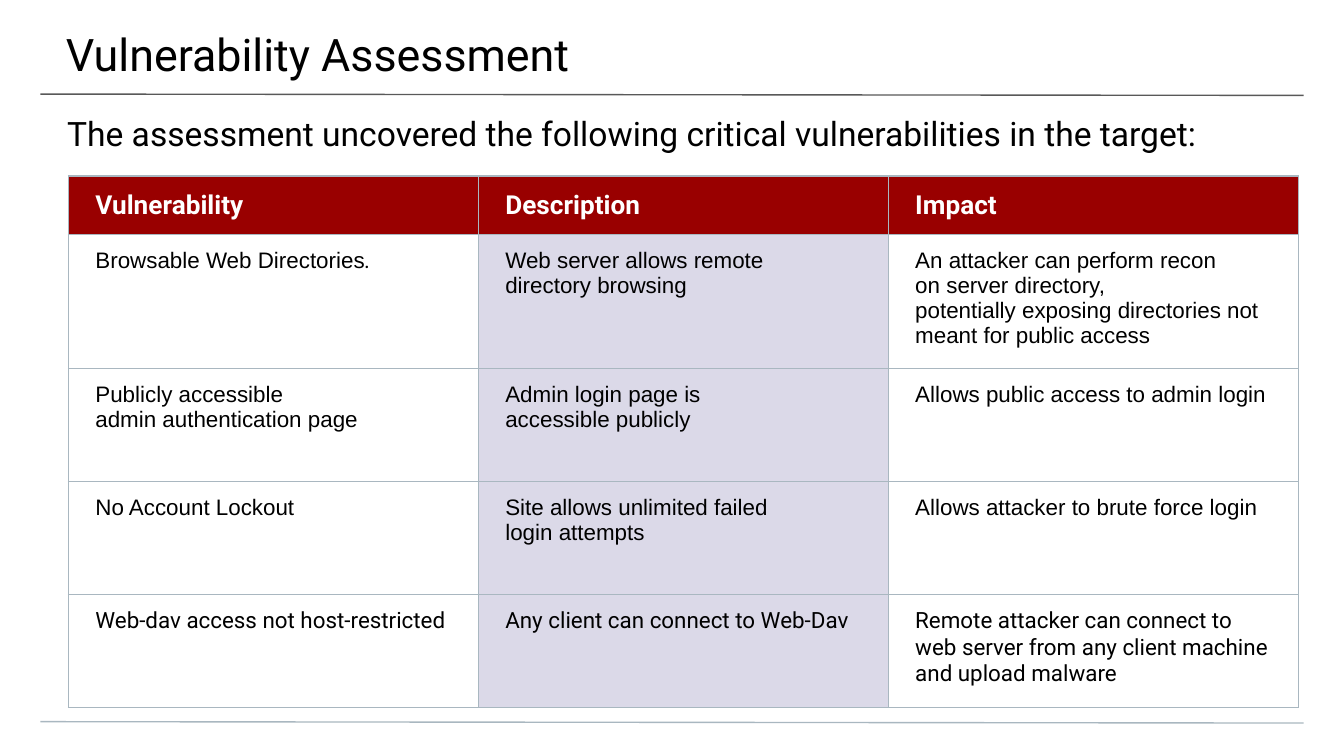
import pptx
import pptx.dml.color
import pptx.enum.shapes
import pptx.enum.text
import pptx.oxml
import pptx.oxml.ns
import pptx.util
from pptx.util import Inches

BLACK = pptx.dml.color.RGBColor(0x00, 0x00, 0x00)
WHITE = pptx.dml.color.RGBColor(0xFF, 0xFF, 0xFF)
GRAY = pptx.dml.color.RGBColor(0x59, 0x59, 0x59)
STEEL = pptx.dml.color.RGBColor(0xA9, 0xB7, 0xC0)
CRIMSON = pptx.dml.color.RGBColor(0x99, 0x00, 0x00)
LAVENDER = pptx.dml.color.RGBColor(0xDB, 0xD9, 0xE8)

HARD_SPACE = chr(160)
HEADINGS = ["Vulnerability", "Description", "Impact"]
FINDINGS = [
    ["Browsable Web Directories",
     "Web server allows remote directory~browsing",
     "An attacker can perform recon on~server directory, potentially~exposing "
     "directories not meant for~public access"],
    ["Publicly accessible admin~authentication page",
     "Admin login page is accessible~publicly",
     "Allows public access to admin~login"],
    ["No Account Lockout",
     "Site allows unlimited failed login~attempts",
     "Allows attacker to brute force login~"],
    ["Web-dav access not host-restricted",
     "Any client can connect to Web-Dav",
     "Remote attacker can connect to web server from any client machine and upload malware"],
]


class ReportSlide:
    """Holds the report style and draws its elements on one slide."""

    heading_font = "Roboto"
    body_font = "Arial"
    rule_width = pptx.util.Pt(0.75)

    def __init__(self, slide):
        self.slide = slide

    def format_run(self, run, size, font, color=BLACK, bold=False, italic=False):
        run.font.size = pptx.util.Pt(size)
        run.font.name = font
        run.font.color.rgb = color
        run.font.bold = bold
        run.font.italic = italic

    def rule(self, top, color):
        line = self.slide.shapes.add_connector(
            pptx.enum.shapes.MSO_CONNECTOR.STRAIGHT,
            Inches(0.3), Inches(top), Inches(9.7), Inches(top + 0.01))
        line.line.color.rgb = color
        line.line.width = self.rule_width
        line._element.spPr.append(pptx.oxml.parse_xml(
            f'<a:effectLst {pptx.oxml.ns.nsdecls("a")}/>'))

    def text(self, wording, box, insets, size):
        frame = self.slide.shapes.add_textbox(*map(Inches, box)).text_frame
        frame.word_wrap = True
        (frame.margin_left, frame.margin_top,
         frame.margin_right, frame.margin_bottom) = map(Inches, insets)
        frame.text = wording
        self.format_run(frame.paragraphs[0].runs[0], size, self.heading_font)

    def border(self, cell):
        properties = cell._tc.get_or_add_tcPr()
        for side in ("lnL", "lnR", "lnT", "lnB"):
            properties.append(pptx.oxml.parse_xml(
                f'<a:{side} {pptx.oxml.ns.nsdecls("a")} w="{self.rule_width}">'
                f'<a:solidFill><a:srgbClr val="{STEEL}"/></a:solidFill></a:{side}>'))

    def cell(self, cell, wording, size, font, color, bold, fill):
        cell.margin_left = cell.margin_right = Inches(0.2)
        cell.margin_top = cell.margin_bottom = Inches(0.1)
        cell.text_frame.text = wording.replace("~", HARD_SPACE)
        paragraph = cell.text_frame.paragraphs[0]
        self.format_run(paragraph.runs[0], size, font, color, bold)
        paragraph._p.append(pptx.oxml.parse_xml(
            f'<a:endParaRPr {pptx.oxml.ns.nsdecls("a")} sz="{size * 100}">'
            f'<a:latin typeface="{font}"/></a:endParaRPr>'))
        self.border(cell)
        if fill is None:
            cell.fill.background()
        else:
            cell.fill.solid()
            cell.fill.fore_color.rgb = fill

    def table(self, headings, findings, left, top, column_width, heading_height, row_height):
        frame = self.slide.shapes.add_table(
            len(findings) + 1, len(headings), Inches(left), Inches(top),
            Inches(column_width * len(headings)), Inches(3.28))
        table = frame.table
        table.first_row = table.horz_banding = False
        for column in table.columns:
            column.width = Inches(column_width)
        for index, row in enumerate(table.rows):
            row.height = Inches(row_height if index else heading_height)
        frame.width = frame.height = Inches(3.28)
        for index, heading in enumerate(headings):
            self.cell(table.cell(0, index), heading, 14, self.heading_font, WHITE, True, CRIMSON)
            table.cell(0, index).vertical_anchor = pptx.enum.text.MSO_ANCHOR.MIDDLE
        for row, finding in enumerate(findings, 1):
            font = self.heading_font if row == len(findings) else self.body_font
            for column, wording in enumerate(finding):
                fill = LAVENDER if column == 1 else None
                self.cell(table.cell(row, column), wording, 12, font, BLACK, False, fill)
        return table


def main():
    deck = pptx.Presentation()
    deck.slide_width = Inches(10)
    deck.slide_height = deck.slide_width * 9 // 16
    report = ReportSlide(deck.slides.add_slide(deck.slide_layouts[6]))
    report.rule(0.7, GRAY)
    report.rule(5.37, STEEL)
    report.text("Vulnerability Assessment",
                (-0.01, 0, 10.03, 0.58), (0.5, 0.2, 0.3, 0.1), 24)
    report.text("The assessment uncovered the following critical vulnerabilities in the target:",
                (0, 0.74, 10, 0.4), (0.5, 0.1, 0.5, 0), 18)
    vulnerabilities = report.table(HEADINGS, FINDINGS, 0.51, 1.31, 3.05, 0.43, 0.84)
    full_stop = vulnerabilities.cell(1, 0).text_frame.paragraphs[0].add_run()
    full_stop.text = "." + HARD_SPACE
    report.format_run(full_stop, 12, report.heading_font, italic=True)
    deck.save("out.pptx")


if __name__ == "__main__":
    main()
